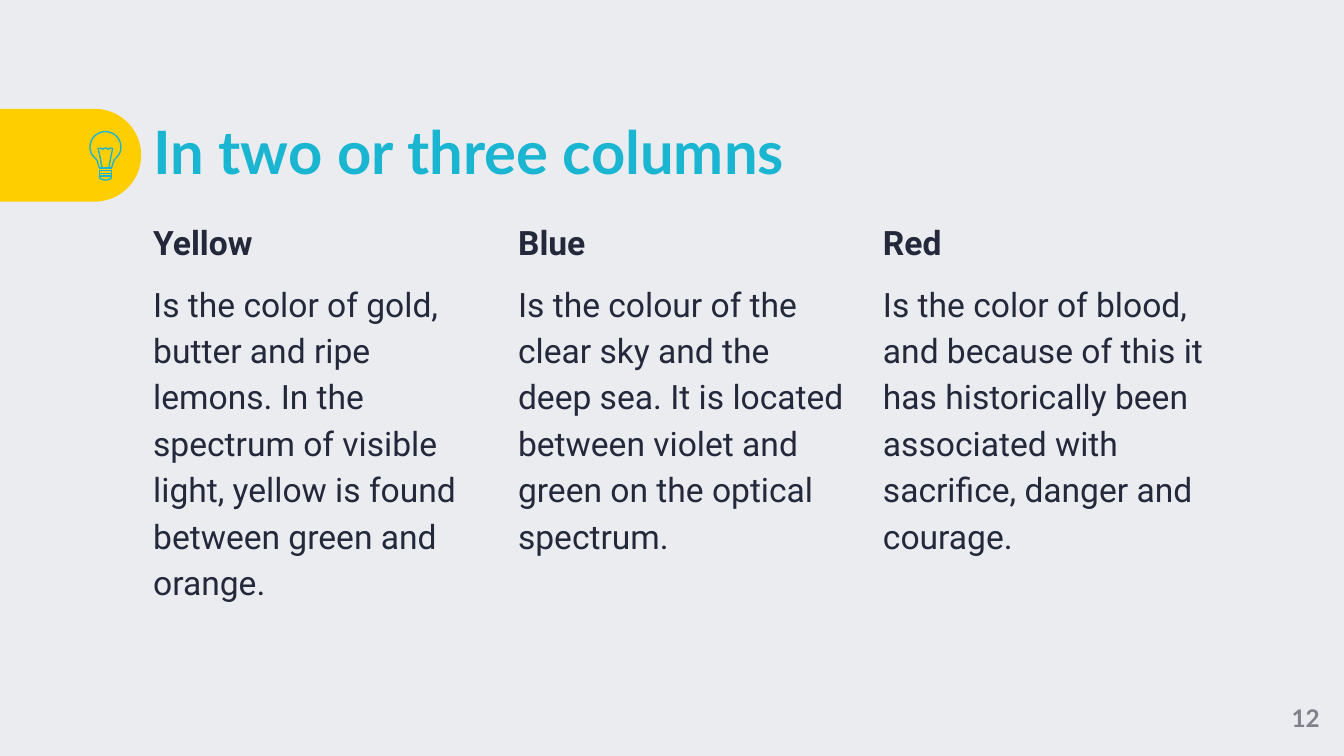
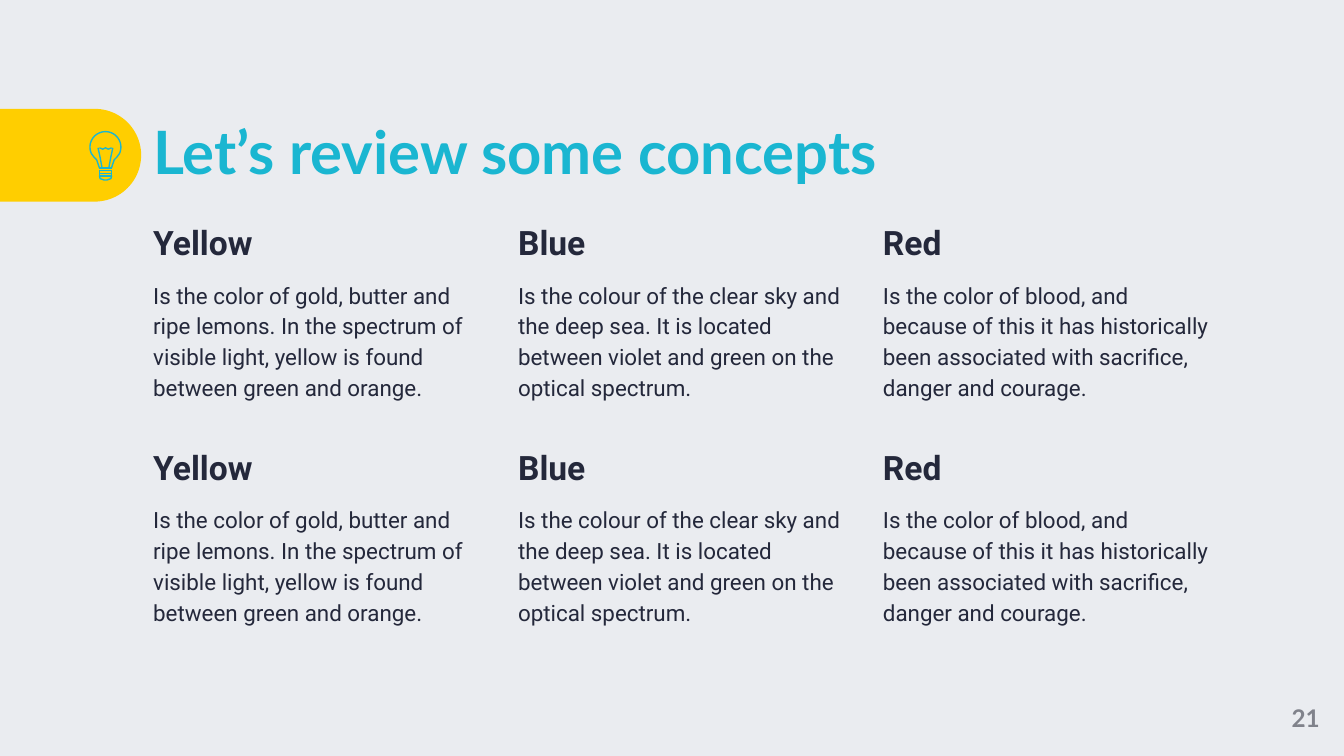
from math import cos, radians, sin

from lxml import etree
from pptx import Presentation
from pptx.dml.color import RGBColor
from pptx.enum.shapes import MSO_CONNECTOR, MSO_SHAPE
from pptx.enum.text import MSO_ANCHOR, MSO_AUTO_SIZE, PP_ALIGN
from pptx.oxml.ns import qn
from pptx.util import Inches, Pt

BACKGROUND = RGBColor(0xEA, 0xEC, 0xF0)
YELLOW = RGBColor(0xFF, 0xCE, 0x00)
TEAL = RGBColor(0x1A, 0xB6, 0xD1)
INK = RGBColor(0x24, 0x28, 0x3B)
GREY = RGBColor(0x80, 0x82, 0x8B)

TAB_SHAPE = MSO_SHAPE.ROUND_2_SAME_RECTANGLE
STRAIGHT = MSO_CONNECTOR.STRAIGHT
MIDDLE, TOP = MSO_ANCHOR.MIDDLE, MSO_ANCHOR.TOP
LEFT, CENTER = PP_ALIGN.LEFT, PP_ALIGN.CENTER
NO_AUTOFIT = MSO_AUTO_SIZE.NONE
TITLE_ONLY = 5

HEADING_FONT, BODY_FONT = "Lato", "Roboto"
SLIDE_WIDTH = 10
SLIDE_HEIGHT = SLIDE_WIDTH * 9 / 16
TAB_BOX = (0, 0.81, 1.05, 0.69)
BULB_BOX = (0.67, 0.98, 0.23, 0.36)
TITLE_BOX = (1.14, 0.81, 7.89, 0.69)
NUMBER_BOX = (9.43, 5.06, 0.57, 0.56)
CONTENT_LEFT, CONTENT_WIDTH = 1.14, 7.89
COLUMN_WIDTH = 2.46

CONCEPTS = [
    ("Yellow", "Is the color of gold, butter and ripe lemons. In the spectrum of "
               "visible light, yellow is found between green and orange."),
    ("Blue", "Is the colour of the clear sky and the deep sea. It is located between "
             "violet and green on the optical spectrum."),
    ("Red", "Is the color of blood, and because of this it has historically been "
            "associated with sacrifice, danger and courage."),
]


def set_font(paragraph, name, size, color, bold):
    """Apply one font to a whole paragraph."""
    font = paragraph.font
    font.name, font.size, font.bold = name, Pt(size), bold
    font.color.rgb = color


def prepare_frame(holder, anchor):
    """Give a text holder a wrapping frame without margins."""
    frame = holder.text_frame
    frame.word_wrap = True
    frame.auto_size = NO_AUTOFIT
    frame.vertical_anchor = anchor
    frame.margin_left = frame.margin_top = frame.margin_right = frame.margin_bottom = 0
    return frame


def add_text_frame(slide, box, anchor):
    """Add a text box and return its frame."""
    return prepare_frame(slide.shapes.add_textbox(*map(Inches, box)), anchor)


def add_tab(slide, box):
    """Draw the yellow tab with its round end to the right."""
    left, top, width, height = box
    shift = (width - height) / 2
    tab = slide.shapes.add_shape(TAB_SHAPE, Inches(left + shift), Inches(top - shift),
                                 Inches(height), Inches(width))
    tab.rotation = 90
    tab.adjustments[0], tab.adjustments[1] = 0.5, 0
    tab.shadow.inherit = False
    tab.fill.solid()
    tab.fill.fore_color.rgb = YELLOW
    tab.line.fill.background()


def set_title(slide, box, text):
    """Place and format the title placeholder."""
    title = slide.shapes.title
    title.left, title.top, title.width, title.height = map(Inches, box)
    paragraph = prepare_frame(title, MIDDLE).paragraphs[0]
    paragraph.text = text
    paragraph.alignment = LEFT
    paragraph.line_spacing = 0.9
    set_font(paragraph, HEADING_FONT, 32, TEAL, True)


def add_page_number(slide, box, number):
    """Write the page number in the corner."""
    paragraph = add_text_frame(slide, box, MIDDLE).paragraphs[0]
    paragraph.text = str(number)
    paragraph.alignment = CENTER
    set_font(paragraph, HEADING_FONT, 13, GREY, True)


def add_bulb(slide, box):
    """Draw the light bulb as a group of thin outlines."""
    left, top, width, _ = box
    radius = width / 2
    center = left + radius
    bulb = slide.shapes.add_group_shape()

    def place(points):
        """Turn offsets from the top centre into slide lengths."""
        return [(Inches(center + x), Inches(top + y)) for x, y in points]

    def style(line):
        """Set the bulb's line."""
        line.color.rgb = TEAL
        line.width = Pt(0.75)

    def outline(points, close=False):
        """Add one unfilled outline."""
        start, *others = place(points)
        builder = bulb.shapes.build_freeform(*start)
        builder.add_line_segments(others, close=close)
        part = builder.convert_to_shape()
        part.shadow.inherit = False
        part.fill.background()
        style(part.line)

    for ring_top in (0.31, 0.29):
        ring_bottom = ring_top + 0.02
        outline([(0.045, ring_bottom), (0.045, ring_top),
                 (-0.045, ring_top), (-0.045, ring_bottom)], close=True)
    outline([(-0.045, 0.33), (-0.04, 0.35), (-0.01, 0.36),
             (0.01, 0.36), (0.04, 0.35), (0.045, 0.33)], close=True)

    neck = [(0.045, 0.27), (0.055, 0.24), (0.065, 0.21), (0.085, 0.19)]
    arc = [(radius * cos(radians(angle)), radius + radius * sin(radians(angle)))
           for angle in range(25, -90, -5)]
    right_half = neck + arc
    outline(right_half + [(0, 0)] + [(-x, y) for x, y in reversed(right_half)])

    for side in (-1, 1):
        outline([(side * 0.025, 0.27), (side * 0.04, 0.19), (side * 0.055, 0.12)])
    outline([(-0.045, 0.12), (-0.02, 0.13), (0, 0.12), (0.02, 0.13), (0.045, 0.12)])

    start, end = place([(-0.045, 0.27), (0.045, 0.27)])
    base = bulb.shapes.add_connector(STRAIGHT, *start, *end)
    style(base.line)
    etree.SubElement(base._element.spPr, qn("a:effectLst"))


def add_concept(slide, box, name, description, size):
    """Write a bold concept name above its description."""
    frame = add_text_frame(slide, box, TOP)
    heading, body = frame.paragraphs[0], frame.add_paragraph()
    heading.text, body.text = name, description
    heading.line_spacing = body.line_spacing = 1.15
    body.space_before = Pt(8)
    set_font(heading, BODY_FONT, 18, INK, True)
    set_font(body, BODY_FONT, size, INK, False)


def add_concept_row(slide, box, size):
    """Spread the concepts over equal columns."""
    left, top, width, height = box
    step = (width - COLUMN_WIDTH) / (len(CONCEPTS) - 1)
    for index, (name, description) in enumerate(CONCEPTS):
        add_concept(slide, (left + index * step, top, COLUMN_WIDTH, height),
                    name, description, size)


def add_concept_slide(deck, title, number, row_tops, row_height, size):
    """Build a titled slide with one or more rows of concepts."""
    slide = deck.slides.add_slide(deck.slide_layouts[TITLE_ONLY])
    add_tab(slide, TAB_BOX)
    set_title(slide, TITLE_BOX, title)
    add_bulb(slide, BULB_BOX)
    for top in row_tops:
        add_concept_row(slide, (CONTENT_LEFT, top, CONTENT_WIDTH, row_height), size)
    add_page_number(slide, NUMBER_BOX, number)


def main():
    """Build and save the deck."""
    deck = Presentation()
    deck.slide_width, deck.slide_height = Inches(SLIDE_WIDTH), Inches(SLIDE_HEIGHT)
    backdrop = deck.slide_master.background.fill
    backdrop.solid()
    backdrop.fore_color.rgb = BACKGROUND
    add_concept_slide(deck, "In two or three columns", 12, [1.61], 3.29, 18)
    add_concept_slide(deck, "Let’s review some concepts", 21, [1.61, 3.28], 1.59, 12)
    deck.save("out.pptx")


if __name__ == "__main__":
    main()
